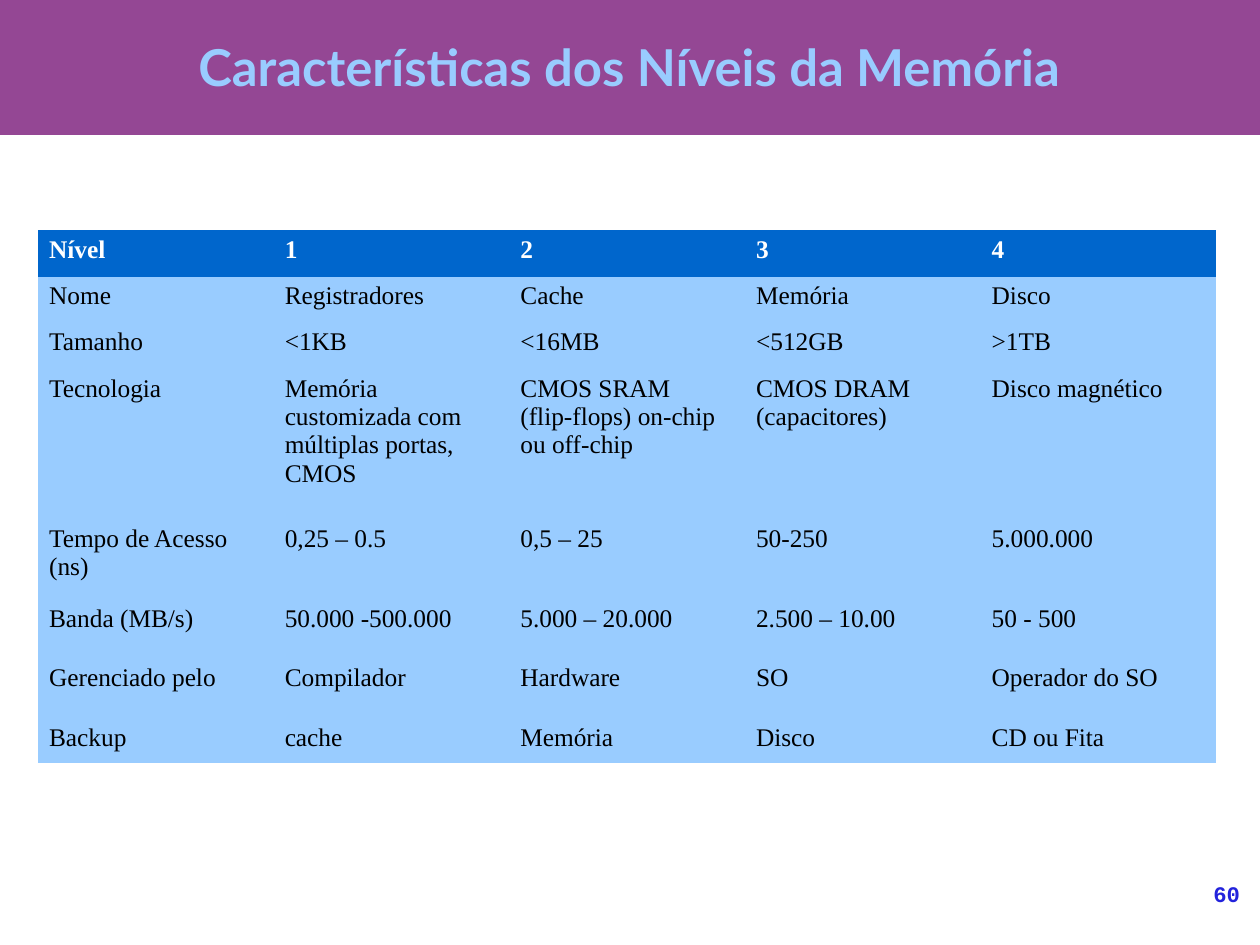
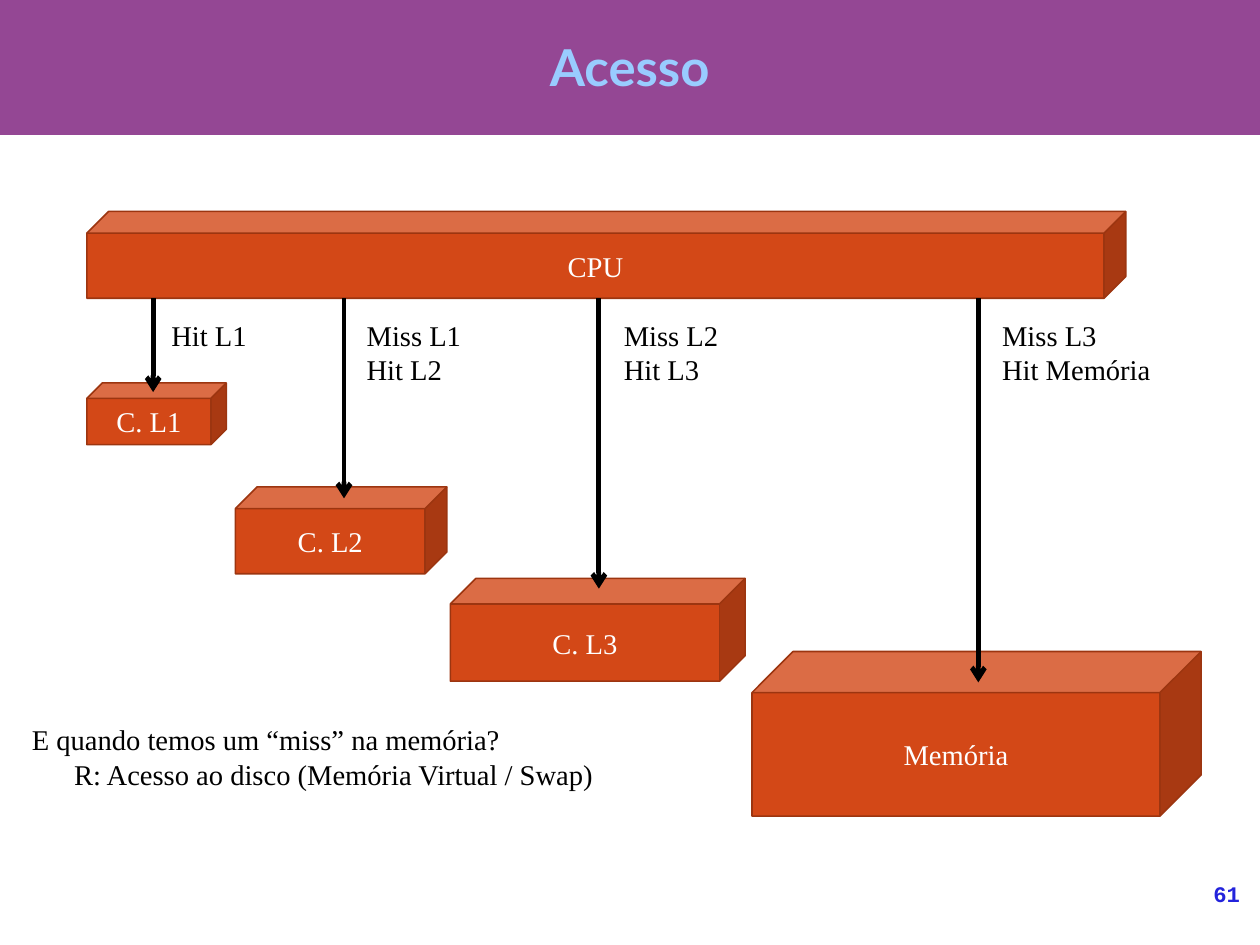
from dataclasses import dataclass

from lxml import etree
from pptx import Presentation
from pptx.dml.color import RGBColor
from pptx.enum.shapes import MSO_CONNECTOR, MSO_SHAPE
from pptx.enum.text import MSO_ANCHOR, PP_ALIGN
from pptx.oxml.ns import qn
from pptx.util import Emu, Inches, Pt

RECT, CUBE = MSO_SHAPE.RECTANGLE, MSO_SHAPE.CUBE
STRAIGHT = MSO_CONNECTOR.STRAIGHT
LEFT, CENTER, RIGHT = PP_ALIGN.LEFT, PP_ALIGN.CENTER, PP_ALIGN.RIGHT
TOP, MIDDLE = MSO_ANCHOR.TOP, MSO_ANCHOR.MIDDLE
NO_STYLE = "{2D5ABB26-0587-4C30-8999-92F81FD0307C}"

# Standard 28 by 21 cm screen page, 11.02 by 8.27 inches
SLIDE_WIDTH, SLIDE_HEIGHT = Emu(10080625), Emu(7559675)


@dataclass(frozen=True)
class Theme:
    band: str = "944794"
    title: str = "99CCFF"
    header: str = "0066CC"
    cell: str = "99CCFF"
    cube: str = "D34817"
    cube_line: str = "9C3510"
    page: str = "2323DC"
    dark: str = "000000"
    light: str = "FFFFFF"
    title_font: str = "Lato"
    body_font: str = "Times New Roman"
    page_font: str = "Courier New"
    title_size: int = 32
    body_size: int = 18
    table_size: int = 16
    page_size: int = 14


THEME = Theme()

LEVELS = [
    ("Nível", "1", "2", "3", "4"),
    ("Nome", "Registradores", "Cache", "Memória", "Disco"),
    ("Tamanho", "<1KB", "<16MB", "<512GB", ">1TB"),
    ("Tecnologia", "Memória customizada com múltiplas portas, CMOS",
     "CMOS SRAM (flip-flops) on-chip ou off-chip",
     "CMOS DRAM (capacitores)", "Disco magnético"),
    ("Tempo de Acesso (ns)", "0,25 – 0.5", "0,5 – 25", "50-250", "5.000.000"),
    ("Banda (MB/s)", "50.000 -500.000", "5.000 – 20.000", "2.500 – 10.00",
     "50 - 500"),
    ("Gerenciado pelo", "Compilador", "Hardware", "SO", "Operador do SO"),
    ("Backup", "cache", "Memória", "Disco", "CD ou Fita"),
]
ROW_HEIGHTS = [0.41, 0.4, 0.41, 1.31, 0.7, 0.52, 0.52, 0.4]

# cube name, cube box, arrow x, arrow end y, label x, label width, label
ACCESSES = [
    ("C. L1", (0.76, 3.35, 1.22, 0.54), 1.34, 3.43, 1.4, 0.88, "Hit L1"),
    ("C. L2", (2.06, 4.26, 1.85, 0.76), 3.01, 4.36, 3.11, 1.07,
     "Miss L1\nHit L2"),
    ("C. L3", (3.94, 5.06, 2.58, 0.9), 5.24, 5.15, 5.36, 1.07,
     "Miss L2\nHit L3"),
    ("Memória", (6.58, 5.7, 3.93, 1.44), 8.56, 5.97, 8.67, 1.66,
     "Miss L3\nHit Memória"),
]


def rgb(color):
    return RGBColor.from_string(color)


def inches(*values):
    return [Inches(v) for v in values]


def write(tf, text, size=THEME.body_size, font=THEME.body_font,
          color=THEME.dark, bold=False, align=LEFT):
    """Fill a text frame, one paragraph for each line of text."""
    for i, line in enumerate(text.split("\n")):
        p = tf.add_paragraph() if i else tf.paragraphs[0]
        p.alignment = align
        r = p.add_run()
        r.text = line
        r.font.size, r.font.name, r.font.bold = Pt(size), font, bold
        r.font.color.rgb = rgb(color)


def add_text(s, box, text, margins=(0.1, 0.05), anchor=TOP, wrap=True,
             **style):
    tf = s.shapes.add_textbox(*inches(*box)).text_frame
    tf.word_wrap = wrap
    tf.vertical_anchor = anchor
    tf.margin_left = tf.margin_right = Inches(margins[0])
    tf.margin_top = tf.margin_bottom = Inches(margins[1])
    write(tf, text, **style)
    return tf


def add_block(s, kind, box, fill, line=None):
    sp = s.shapes.add_shape(kind, *inches(*box))
    sp.shadow.inherit = False
    sp.fill.solid()
    sp.fill.fore_color.rgb = rgb(fill)
    if line:
        sp.line.color.rgb = rgb(line)
        sp.line.width = Pt(1)
    else:
        sp.line.fill.background()
    return sp


def add_cube(s, box, text):
    sp = add_block(s, CUBE, box, THEME.cube, THEME.cube_line)
    tf = sp.text_frame
    tf.vertical_anchor = MIDDLE
    write(tf, text, color=THEME.light, align=CENTER)


def add_down_arrow(s, x, top, bottom):
    c = s.shapes.add_connector(STRAIGHT, *inches(x, top, x, bottom))
    c.line.color.rgb = rgb(THEME.dark)
    c.line.width = Pt(3)
    etree.SubElement(c.line._get_or_add_ln(), qn("a:tailEnd"), type="arrow")
    etree.SubElement(c._element.spPr, qn("a:effectLst"))


def add_grid(s, left, top, width, rows, heights):
    """Add a borderless table with equal columns and a header row."""
    box = inches(left, top, width, sum(heights))
    table = s.shapes.add_table(len(rows), len(rows[0]), *box).table
    table.horz_banding = False
    table._tbl.tblPr.find(qn("a:tableStyleId")).text = NO_STYLE
    for i, (row, height) in enumerate(zip(rows, heights)):
        head = i == 0
        table.rows[i].height = Inches(height)
        for j, text in enumerate(row):
            cell = table.cell(i, j)
            cell.margin_right = Inches(0.18)
            cell.fill.solid()
            cell.fill.fore_color.rgb = rgb(THEME.header if head else THEME.cell)
            write(cell.text_frame, text, size=THEME.table_size, bold=head,
                  color=THEME.light if head else THEME.dark)


def new_slide(prs, title, number):
    """Add a blank slide with the shared band, title and page number."""
    s = prs.slides.add_slide(prs.slide_layouts[6])
    add_block(s, RECT, (0, -0.01, SLIDE_WIDTH.inches, 1.19), THEME.band)
    add_text(s, (0.55, -0.01, 9.92, 1.18), title, margins=(0, 0),
             anchor=MIDDLE, size=THEME.title_size, font=THEME.title_font,
             color=THEME.title, bold=True, align=CENTER)
    add_text(s, (9.17, 7.7, 1.68, 0.57), str(number), margins=(0, 0),
             size=THEME.page_size, font=THEME.page_font, color=THEME.page,
             bold=True, align=RIGHT)
    return s


def levels_slide(prs):
    s = new_slide(prs, "Características dos Níveis da Memória", 60)
    add_grid(s, 0.33, 2.01, 10.31, LEVELS, ROW_HEIGHTS)


def access_slide(prs):
    s = new_slide(prs, "Acesso", 61)
    add_cube(s, (0.76, 1.85, 9.09, 0.76), "CPU")
    for name, box, x, end, label_x, label_width, label in ACCESSES:
        add_cube(s, box, name)
        add_down_arrow(s, x, 2.61, end)
        label_height = 0.4 + 0.3 * label.count("\n")
        add_text(s, (label_x, 2.73, label_width, label_height), label,
                 wrap=False)
    tf = add_text(s, (0.18, 6.27, 6.35, 0.7),
                  "E quando temos um “miss” na memória?\n"
                  "R: Acesso ao disco (Memória Virtual / Swap)")
    answer = tf.paragraphs[1]._p.get_or_add_pPr()
    answer.set("marL", str(Inches(0.37)))


def main():
    prs = Presentation()
    prs.slide_width = SLIDE_WIDTH
    prs.slide_height = SLIDE_HEIGHT
    levels_slide(prs)
    access_slide(prs)
    prs.save("out.pptx")


if __name__ == "__main__":
    main()
